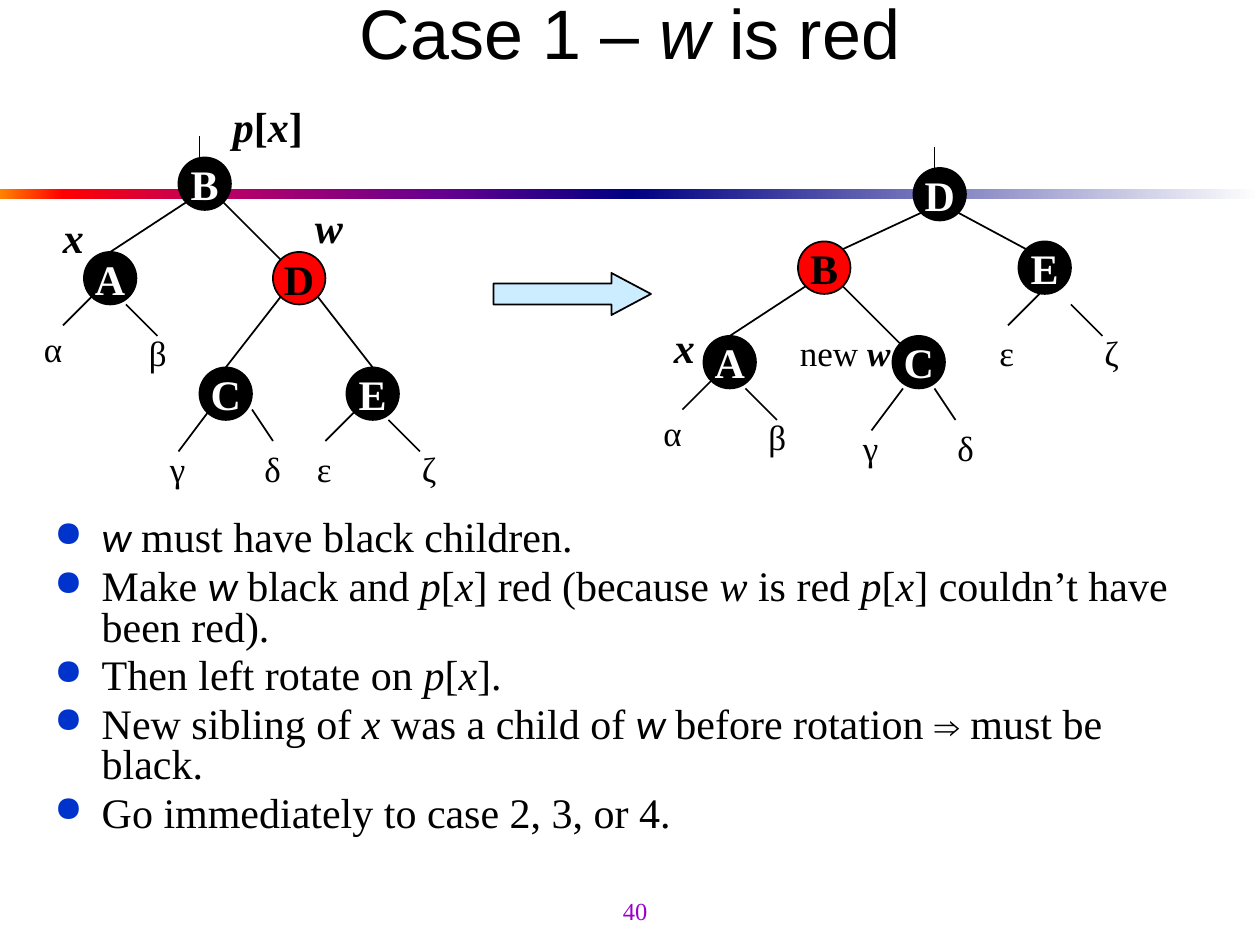
from lxml import etree
from pptx import Presentation
from pptx import util as u
from pptx.dml.color import RGBColor
from pptx.enum import shapes, text
from pptx.oxml import ns

BLACK = RGBColor(0, 0, 0)
WHITE = RGBColor(255, 255, 255)
RED = RGBColor(255, 0, 0)
SKY = RGBColor(0xCC, 0xEC, 0xFF)
BLUE = RGBColor(0, 0x33, 0xCC)
PURPLE = RGBColor(0x99, 0, 0xCC)
ORANGE = RGBColor(0xFF, 0x82, 0)
CRIMSON = RGBColor(0xBA, 0, 0x66)
VIOLET = RGBColor(0x66, 0, 0x8F)
NAVY = RGBColor(0, 0, 0x82)

SERIF, SANS, HAND, WIDE = "Times New Roman", "Arial", "Calibri", "Lato"
ITALIC = {"italic": True}
HAND_ITALIC = {"italic": True, "name": HAND}
BOLD = {"bold": True}
BOLD_ITALIC = {"bold": True, "italic": True}

NODE = 30
TOP, TOP_LEFT, TOP_RIGHT = (15, 0), (4.4, 4.4), (25.6, 4.4)
LOW_LEFT, LOW_RIGHT = (4.4, 25.6), (25.6, 25.6)


class Deck:
    def __init__(self, width, height):
        self.prs = Presentation()
        self.prs.slide_width, self.prs.slide_height = u.Pt(width), u.Pt(height)
        self.s = self.prs.slides.add_slide(self.prs.slide_layouts[6])

    def runs(self, p, parts, size, color=BLACK, font=SERIF):
        for words, style in parts:
            r = p.add_run()
            r.text = words
            r.font.name = style.get("name", font)
            r.font.size = u.Pt(style.get("size", size))
            r.font.bold = style.get("bold", False)
            r.font.italic = style.get("italic", False)
            r.font.color.rgb = color

    def box(self, x, y, w, h, parts, size, color=BLACK, font=SERIF,
            centred=False, wrap=False):
        tf = self.s.shapes.add_textbox(*map(u.Pt, (x, y, w, h))).text_frame
        tf.word_wrap = wrap
        p = tf.paragraphs[0]
        if centred:
            tf.vertical_anchor = text.MSO_ANCHOR.MIDDLE
            p.alignment = text.PP_ALIGN.CENTER
        self.runs(p, parts, size, color, font)

    def bullets(self, x, y, w, h, items, size):
        tf = self.s.shapes.add_textbox(*map(u.Pt, (x, y, w, h))).text_frame
        tf.word_wrap = True
        for i, parts in enumerate(items):
            p = tf.add_paragraph() if i else tf.paragraphs[0]
            p.line_spacing = 0.8
            p.space_before = u.Pt(0.2 * size if i else 0)
            pPr = p._p.get_or_add_pPr()
            pPr.set("marL", str(u.Pt(27)))
            pPr.set("indent", str(-u.Pt(27)))
            clr = etree.SubElement(pPr, ns.qn("a:buClr"))
            etree.SubElement(clr, ns.qn("a:srgbClr"), val=str(BLUE))
            etree.SubElement(pPr, ns.qn("a:buSzPct"), val="85000")
            etree.SubElement(pPr, ns.qn("a:buChar"), char="●")
            self.runs(p, parts, size)

    def shape(self, kind, x, y, w, h, fill=None):
        sp = self.s.shapes.add_shape(kind, *map(u.Pt, (x, y, w, h)))
        sp.shadow.inherit = False
        if fill is not None:
            sp.fill.solid()
            sp.fill.fore_color.rgb = fill
            sp.line.color.rgb = BLACK
            sp.line.width = u.Pt(1)
        return sp

    def band(self, x, y, w, h, stops):
        sp = self.shape(shapes.MSO_SHAPE.RECTANGLE, x, y, w, h)
        sp.line.fill.background()
        sp.fill.gradient()
        sp.fill.gradient_angle = 0
        lst = sp._element.spPr.find(".//" + ns.qn("a:gsLst"))
        for old in list(lst):
            lst.remove(old)
        for percent, color in stops:
            gs = etree.SubElement(lst, ns.qn("a:gs"), pos=str(percent * 1000))
            etree.SubElement(gs, ns.qn("a:srgbClr"), val=str(color))

    def arrow(self, x, y, w, h, fill, head):
        sp = self.shape(shapes.MSO_SHAPE.RIGHT_ARROW, x, y, w, h, fill)
        sp.adjustments[0], sp.adjustments[1] = 0.5, head

    def node(self, name, x, y, fill):
        sp = self.shape(shapes.MSO_SHAPE.OVAL, x, y, NODE, NODE, fill)
        tf = sp.text_frame
        tf.word_wrap = False
        tf.vertical_anchor = text.MSO_ANCHOR.MIDDLE
        p = tf.paragraphs[0]
        p.alignment = text.PP_ALIGN.CENTER
        self.runs(p, [(name, BOLD)], 24, BLACK if fill == RED else WHITE)

    def line(self, x1, y1, x2, y2):
        c = self.s.shapes.add_connector(
            shapes.MSO_CONNECTOR.STRAIGHT, *map(u.Pt, (x1, y1, x2, y2)))
        c.line.color.rgb = BLACK
        c.line.width = u.Pt(1)
        etree.SubElement(c._element.spPr, ns.qn("a:effectLst"))

    def tree(self, nodes, edges, twigs, stem):
        for name, (x, y, fill) in nodes.items():
            self.node(name, x, y, fill)
        for parent, start, child, end in edges:
            (px, py, _), (cx, cy, _) = nodes[parent], nodes[child]
            self.line(px + start[0], py + start[1], cx + end[0], cy + end[1])
        for letter, ends, (x, y) in twigs:
            self.line(*ends)
            self.box(x, y, 25, 31, [(letter, {})], 20)
        self.line(*stem)


LEFT_NODES = {"B": (102, 90, BLACK), "A": (48, 144, BLACK), "D": (156, 144, RED),
              "C": (114, 210, BLACK), "E": (198, 210, BLACK)}
LEFT_EDGES = [("B", LOW_LEFT, "A", TOP), ("B", LOW_RIGHT, "D", TOP_LEFT),
              ("D", LOW_LEFT, "C", TOP), ("D", LOW_RIGHT, "E", TOP)]
LEFT_TWIGS = [("α", (54, 168, 36, 186), (18, 183.6)),
              ("β", (72, 174, 90, 192), (78, 186)),
              ("γ", (120, 234, 102, 258), (90, 252)),
              ("δ", (144, 234, 156, 252), (144, 252)),
              ("ε", (204, 234, 186, 252), (174, 252)),
              ("ζ", (222, 240, 240, 258), (234, 252))]
RIGHT_NODES = {"D": (522, 96, BLACK), "B": (456, 138, RED), "E": (582, 138, BLACK),
               "A": (402, 192, BLACK), "C": (510, 192, BLACK)}
RIGHT_EDGES = [("D", LOW_LEFT, "B", TOP_RIGHT), ("D", LOW_RIGHT, "E", TOP_LEFT),
               ("B", LOW_LEFT, "A", TOP), ("B", LOW_RIGHT, "C", TOP_LEFT)]
RIGHT_TWIGS = [("α", (408, 216, 390, 234), (372, 231.6)),
               ("β", (426, 222, 444, 240), (432, 234)),
               ("γ", (516, 222, 498, 246), (486, 240)),
               ("δ", (534, 222, 546, 240), (540, 240)),
               ("ε", (594, 168, 576, 186), (564, 186)),
               ("ζ", (612, 174, 630, 192), (624, 186))]

PX = [("p", ITALIC), ("[", {}), ("x", ITALIC)]
STEPS = [
    [("w ", HAND_ITALIC), ("must have black children.", {})],
    [("Make ", {}), ("w ", HAND_ITALIC), ("black and ", {}), *PX,
     ("] red (because ", {}), ("w", ITALIC), (" is red ", {}), *PX,
     ("] couldn’t have been red).", {})],
    [("Then left rotate on ", {}), *PX, ("].", {})],
    [("New sibling of ", {}), ("x ", ITALIC), ("was a child of ", {}),
     ("w ", HAND_ITALIC), ("before rotation ", {}), ("⇒", {"size": 20}),
     (" ", {"name": WIDE}), ("must be black.", {})],
    [("Go immediately to case 2, 3, or 4.", {})],
]


def main():
    d = Deck(720, 540)
    d.band(0, 108, 360, 6, [(0, ORANGE), (10, RED), (35, CRIMSON),
                            (70, VIOLET), (100, NAVY)])
    d.band(360, 108, 360, 6, [(0, NAVY), (100, WHITE)])
    d.box(0, -18, 720, 72, [("Case 1 – ", {}), ("w", ITALIC), (" is red", {})],
          40, font=SANS, centred=True, wrap=True)
    d.bullets(24, 294, 666, 204, STEPS, 24)
    d.tree(LEFT_NODES, LEFT_EDGES, LEFT_TWIGS, (114, 78, 114, 90))
    d.tree(RIGHT_NODES, RIGHT_EDGES, RIGHT_TWIGS, (534, 84, 534, 96))
    d.arrow(282, 156, 90, 24, SKY, 0.94)
    for name, x, y in [("x", 28.8, 117.6), ("w", 172.8, 111.6), ("x", 378, 180)]:
        d.box(x, y, 27, 36, [(name, BOLD_ITALIC)], 24)
    d.box(126, 54, 55, 36, [("p", BOLD_ITALIC), ("[", BOLD),
                            ("x", BOLD_ITALIC), ("]", BOLD)], 24)
    d.box(450, 186, 72, 31, [("new ", {}), ("w", BOLD_ITALIC)], 20, wrap=True)
    d.box(288, 502.5, 150, 36, [("40", {})], 14, PURPLE, centred=True)
    d.prs.save("out.pptx")


if __name__ == "__main__":
    main()
